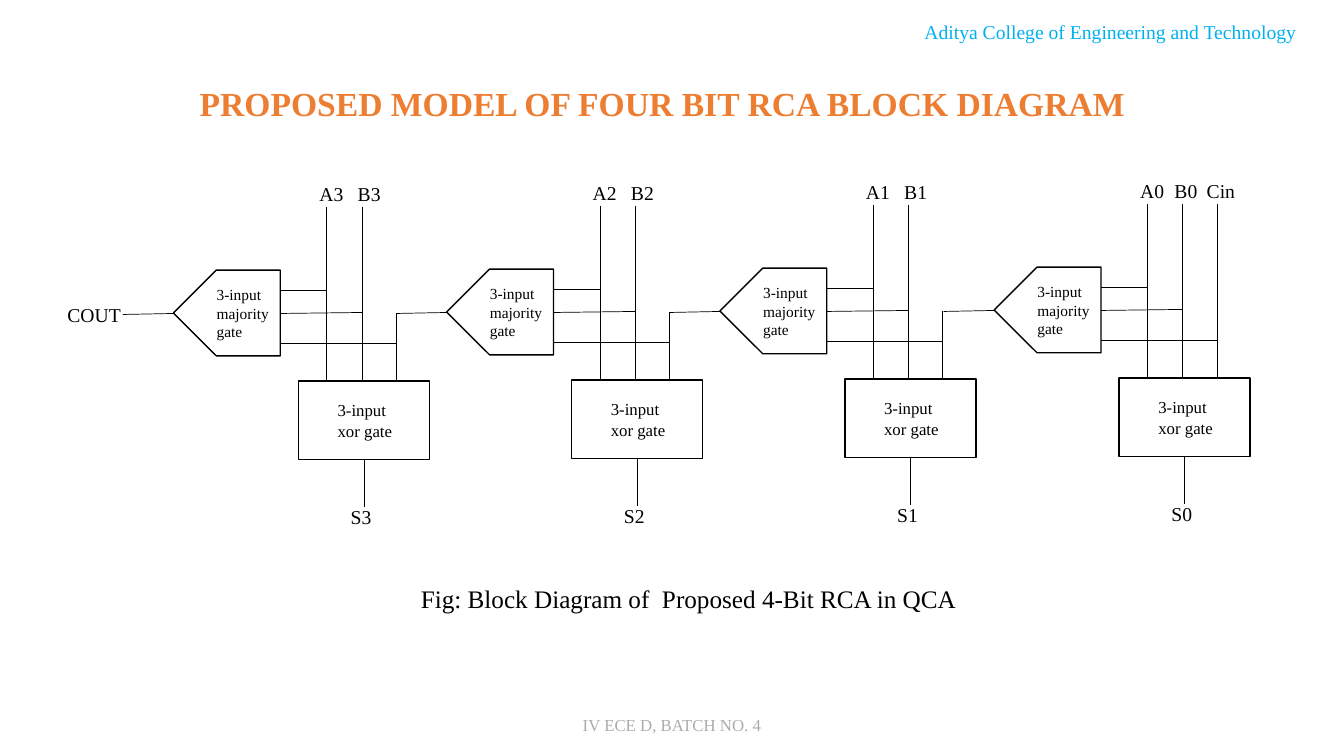
from lxml.etree import SubElement
from pptx import Presentation
from pptx.dml.color import RGBColor
from pptx.enum.shapes import MSO_CONNECTOR as Connector, MSO_SHAPE as Shape
from pptx.enum.text import MSO_ANCHOR as Anchor, MSO_AUTO_SIZE as AutoSize, PP_ALIGN as Align
from pptx.oxml.ns import qn
from pptx.util import Emu, Pt

FONT = "Times New Roman"
COLORS = {"black": "000000", "white": "FFFFFF", "college": "00B0F0",
          "footer": "AFABAB", "title": "ED7D31"}

TITLE = ("PROPOSED MODEL OF FOUR BIT RCA BLOCK DIAGRAM ", (157, 77, 1008, 50))
CAPTIONS = [
    ("Aditya College of Engineering and Technology", (768, 15, 667, 34), 14, "college"),
    ("IV ECE D, BATCH NO. 4", (308, 704, 717, 30), 12, "footer"),
    ("Fig: Block Diagram of  Proposed 4-Bit RCA in QCA", (330, 574, 706, 40), 18, "black"),
]
STAGES = [(3, 172, 268), (2, 443, 267), (1, 714, 266), (0, 986, 265)]

MAJORITY_SIZE = (106, 85)
XOR_BOX = (124, 110, 130, 78)
INPUT_TOP, XOR_TOP = -63, 109
A_X, B_X, CARRY_X = 152, 187, 221
A_Y, B_Y, CARRY_Y = 20, 43, 73
SUM_X, SUM_TOP, SUM_BOTTOM = 189, 188, 235
CARRY_OUT = (0, 43, -50, 44)
LABEL_Y = -92
COUT_BOX = (57, 296, 88, 33)


def px(value):
    return Emu(value * 9144)


def color(name):
    return RGBColor.from_string(COLORS[name])


def write(box, text, size=14, ink="black", bold=False, align=Align.LEFT):
    frame = box.text_frame
    frame.word_wrap = True
    frame.auto_size = AutoSize.NONE
    frame.vertical_anchor = Anchor.TOP
    para = frame.paragraphs[0]
    para.alignment = align
    para.line_spacing = 1.0
    span = para.add_run()
    span.text = text
    span.font.name = FONT
    span.font.size = Pt(size)
    span.font.bold = bold
    span.font.color.rgb = color(ink)


def add_text(shapes, text, frame, **style):
    write(shapes.add_textbox(*map(px, frame)), text, **style)


def add_block(shapes, kind, frame):
    block = shapes.add_shape(kind, *map(px, frame))
    block.shadow.inherit = False
    block.fill.solid()
    block.fill.fore_color.rgb = color("white")
    block.line.color.rgb = color("black")
    block.line.width = Pt(1)
    return block


def add_wire(shapes, ends):
    wire = shapes.add_connector(Connector.STRAIGHT, *map(px, ends))
    wire.line.color.rgb = color("black")
    wire.line.width = Pt(0.5)
    SubElement(wire._element.spPr, qn("a:effectLst"))


def add_stage(page, bit, left, top):
    shapes = page.shapes.add_group_shape().shapes

    def shift(x, y, width, height):
        return left + x, top + y, width, height

    add_block(shapes, Shape.PENTAGON, shift(0, 0, *MAJORITY_SIZE)).rotation = 180
    add_block(shapes, Shape.RECTANGLE, shift(*XOR_BOX))

    gate_right = MAJORITY_SIZE[0]
    carry_top = INPUT_TOP if bit == 0 else B_Y
    wires = [
        (A_X, INPUT_TOP, A_X, XOR_TOP),
        (B_X, INPUT_TOP, B_X, XOR_TOP),
        (CARRY_X, carry_top, CARRY_X, XOR_TOP),
        (gate_right, A_Y, A_X, A_Y),
        (gate_right, B_Y, B_X, B_Y - 1),
        (gate_right, CARRY_Y, CARRY_X, CARRY_Y),
        (SUM_X, SUM_TOP, SUM_X, SUM_BOTTOM),
        CARRY_OUT,
    ]
    for x1, y1, x2, y2 in wires:
        add_wire(shapes, (left + x1, top + y1, left + x2, top + y2))

    b_label_x = 169 if bit == 0 else 173
    labels = [
        (f"A{bit}", (135, LABEL_Y, 46, 34), 14),
        (f"B{bit}", (b_label_x, LABEL_Y, 46, 34), 14),
        ("3-input xor gate", (153, 124, 92, 49), 12),
        ("3-input majority gate", (33, 10, 95, 64), 11),
        (f"S{bit}", (166, 228, 76, 34), 14),
    ]
    if bit == 0:
        labels.append(("Cin", (201, LABEL_Y, 51, 34), 14))
    for text, frame, size in labels:
        add_text(shapes, text, shift(*frame), size=size)


def main():
    deck = Presentation()
    deck.slide_width, deck.slide_height = px(1333), px(750)
    page = deck.slides.add_slide(deck.slide_layouts[5])

    title_text, title_frame = TITLE
    title = page.shapes.title
    title.left, title.top, title.width, title.height = map(px, title_frame)
    write(title, title_text, size=24, ink="title", bold=True, align=Align.CENTER)

    for text, frame, size, ink in CAPTIONS:
        add_text(page.shapes, text, frame, size=size, ink=ink, align=Align.CENTER)
    for bit, left, top in STAGES:
        add_stage(page, bit, left, top)
    add_text(page.shapes, "COUT", COUT_BOX)

    deck.save("out.pptx")


if __name__ == "__main__":
    main()
